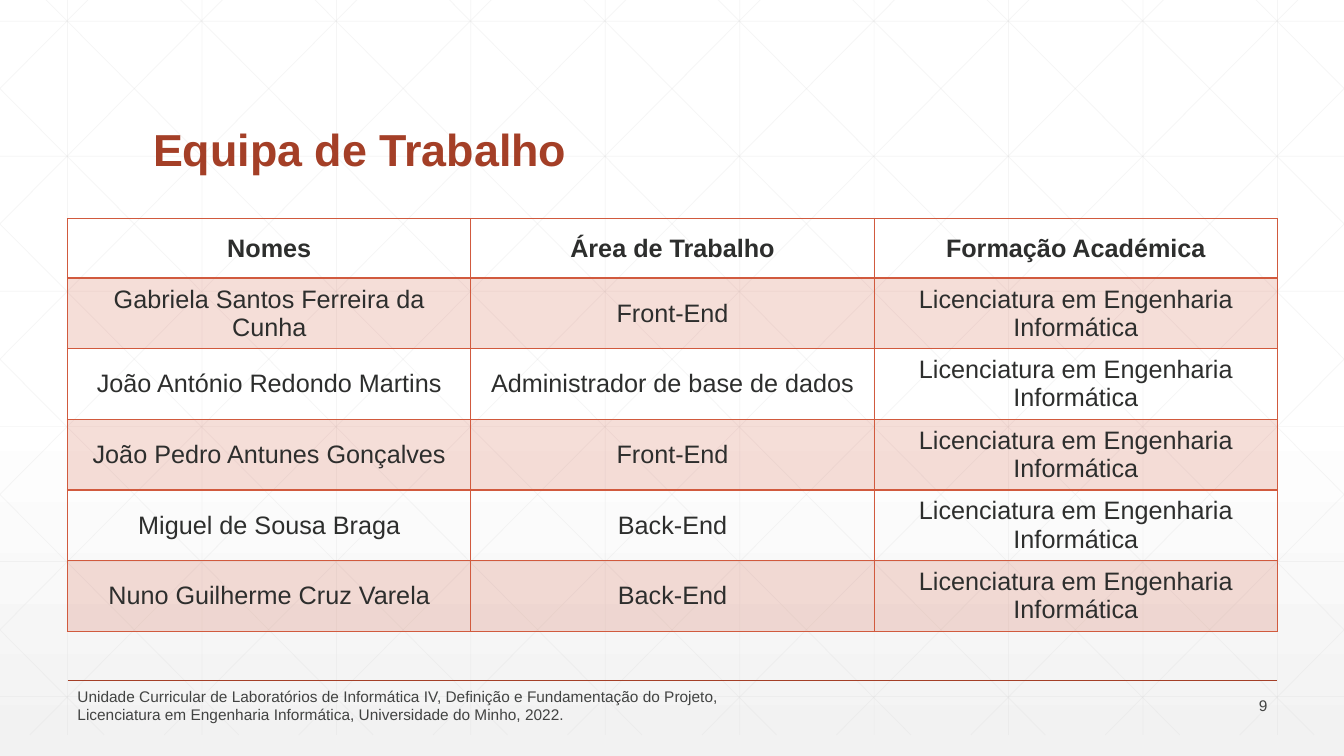
from dataclasses import dataclass

from lxml import etree
from pptx import Presentation
from pptx.dml.color import RGBColor
from pptx.enum import shapes, text
from pptx.oxml import ns
from pptx.util import Inches, Pt


@dataclass(frozen=True)
class Theme:
    """Colours, font and type sizes of the slide."""
    font: str = "Arial"
    title: str = "A43F27"
    accent: str = "D15A3E"
    body: str = "2D2E2D"
    footer: str = "424342"
    grid: str = "D9D9D9"
    paper: str = "FFFFFF"
    paper_end: str = "F2F2F2"
    title_size: int = 32
    table_size: int = 18
    footer_size: int = 11


THEME = Theme()
WIDTH, HEIGHT = 13.33, 7.5
LEFT, CONTENT_WIDTH = 0.67, 12
DEGREE = "Licenciatura em Engenharia Informática"
TEAM = [
    ("Nomes", "Área de Trabalho", "Formação Académica"),
    ("Gabriela Santos Ferreira da Cunha", "Front-End", DEGREE),
    ("João António Redondo Martins", "Administrador de base de dados", DEGREE),
    ("João Pedro Antunes Gonçalves", "Front-End", DEGREE),
    ("Miguel de Sousa Braga", "Back-End", DEGREE),
    ("Nuno Guilherme Cruz Varela", "Back-End", DEGREE),
]
COURSE = ("Unidade Curricular de Laboratórios de Informática IV, Definição e "
          "Fundamentação do Projeto, Licenciatura em Engenharia Informática, "
          "Universidade do Minho, 2022.")


def add_child(parent, tag, **attributes):
    """Append a DrawingML element and return it."""
    return etree.SubElement(parent, ns.qn(tag), attributes)


def set_alpha(element, percent):
    """Make the first RGB colour inside an element partly transparent."""
    colour = next(element.iter(ns.qn("a:srgbClr")))
    add_child(colour, "a:alpha", val=str(percent * 1000))


def write(frame, content, size, colour, bold=False, spacing=None,
          align=text.PP_ALIGN.LEFT):
    """Put one formatted paragraph in a text frame."""
    paragraph = frame.paragraphs[0]
    paragraph.alignment = align
    paragraph.line_spacing = spacing
    run = paragraph.add_run()
    run.text = content
    run.font.name, run.font.size, run.font.bold = THEME.font, Pt(size), bold
    run.font.color.rgb = RGBColor.from_string(colour)


def add_label(slide, box, content, anchor=text.MSO_ANCHOR.MIDDLE, **style):
    """Add a wrapping text box at (left, top, width, height)."""
    frame = slide.shapes.add_textbox(*map(Inches, box)).text_frame
    frame.word_wrap = True
    frame.vertical_anchor = anchor
    write(frame, content, **style)


def add_line(slide, start, end, colour, width, alpha=None):
    """Add a straight line between two points."""
    line = slide.shapes.add_connector(
        shapes.MSO_CONNECTOR.STRAIGHT, *map(Inches, (*start, *end)))
    line.line.color.rgb = RGBColor.from_string(colour)
    line.line.width = Pt(width)
    properties = line.element.spPr
    add_child(properties, "a:effectLst")
    if alpha:
        set_alpha(properties, alpha)


def paint_background(slide):
    """Fade the lower half of the slide to light grey."""
    fill = slide.background.fill
    fill.gradient()
    fill.gradient_angle = 270
    stops = ((0.53, THEME.paper), (1, THEME.paper_end))
    for stop, (position, colour) in zip(fill.gradient_stops, stops):
        stop.position = position
        stop.color.rgb = RGBColor.from_string(colour)


def draw_grid(slide, top, bottom, step=4 / 3):
    """Draw the faint grid with diagonals clipped to the slide's sides."""
    def grid_line(start, end):
        add_line(slide, start, end, THEME.grid, 0.5, alpha=25)

    for column in range(10):
        x = LEFT + column * step
        grid_line((x, top), (x, bottom))
    for row in range(6):
        y = top + 0.42 + row * 1.34
        grid_line((0, y), (WIDTH, y))

    run = 7.45
    slope = (bottom - top) / run
    for index in range(-5, 10):
        first = 0.25 + index * step
        ends = [(x, top + (x - first) * slope)
                for x in (max(first, 0), min(first + run, WIDTH))]
        grid_line(*ends)
        grid_line(*((WIDTH - x, y) for x, y in ends))


def set_borders(cell, colour, **widths):
    """Give a cell solid borders; keywords L, R, T and B are points."""
    properties = cell._tc.get_or_add_tcPr()
    for index, (side, width) in enumerate(widths.items()):
        line = etree.Element(ns.qn(f"a:ln{side}"), w=str(Pt(width)))
        add_child(add_child(line, "a:solidFill"), "a:srgbClr", val=colour)
        properties.insert(index, line)


def draw_team(slide, box, rows, header_height=0.59):
    """Draw the team table with a bold header and tinted odd rows."""
    table = slide.shapes.add_table(
        len(rows), len(rows[0]), *map(Inches, box)).table
    table.horz_banding = False
    row_height = (box[3] - header_height) / (len(rows) - 1)
    for r, values in enumerate(rows):
        table.rows[r].height = Inches(row_height if r else header_height)
        for c, value in enumerate(values):
            cell = table.cell(r, c)
            cell.vertical_anchor = text.MSO_ANCHOR.MIDDLE
            write(cell.text_frame, value, THEME.table_size, THEME.body,
                  bold=r == 0, align=text.PP_ALIGN.CENTER)
            if r % 2:
                cell.fill.solid()
                cell.fill.fore_color.rgb = RGBColor.from_string(THEME.accent)
                set_alpha(cell._tc.tcPr, 20)
            else:
                cell.fill.background()
            set_borders(cell, THEME.accent, L=1, R=1,
                        T=2 if r == 1 else 1, B=2 if r == 0 else 1)


def draw_footer(slide, box, course, number):
    """Draw the rule, the course line and the slide number."""
    left, top, width, height = box
    style = dict(size=THEME.footer_size, colour=THEME.footer)
    add_line(slide, (left, top), (left + width, top), THEME.title, 1)
    label_top = top + 0.13
    add_label(slide, (left + width - 1, label_top, 1, height), number,
              align=text.PP_ALIGN.RIGHT, **style)
    add_label(slide, (left, label_top, 6.7, height), course, **style)


def build_team_slide(presentation):
    """Build the slide that presents the work team."""
    slide = presentation.slides.add_slide(presentation.slide_layouts[6])
    paint_background(slide)
    draw_grid(slide, top=-0.21, bottom=7.29)
    add_label(slide, (1.42, 0.55, 10.5, 1.25), "Equipa de Trabalho",
              anchor=text.MSO_ANCHOR.BOTTOM, size=THEME.title_size,
              colour=THEME.title, bold=True, spacing=0.9)
    draw_team(slide, (LEFT, 2.17, CONTENT_WIDTH, 3.89), TEAM)
    draw_footer(slide, (LEFT, 6.75, CONTENT_WIDTH, 0.24), COURSE, "9")


presentation = Presentation()
presentation.slide_width, presentation.slide_height = Inches(WIDTH), Inches(HEIGHT)
build_team_slide(presentation)
presentation.save("out.pptx")
